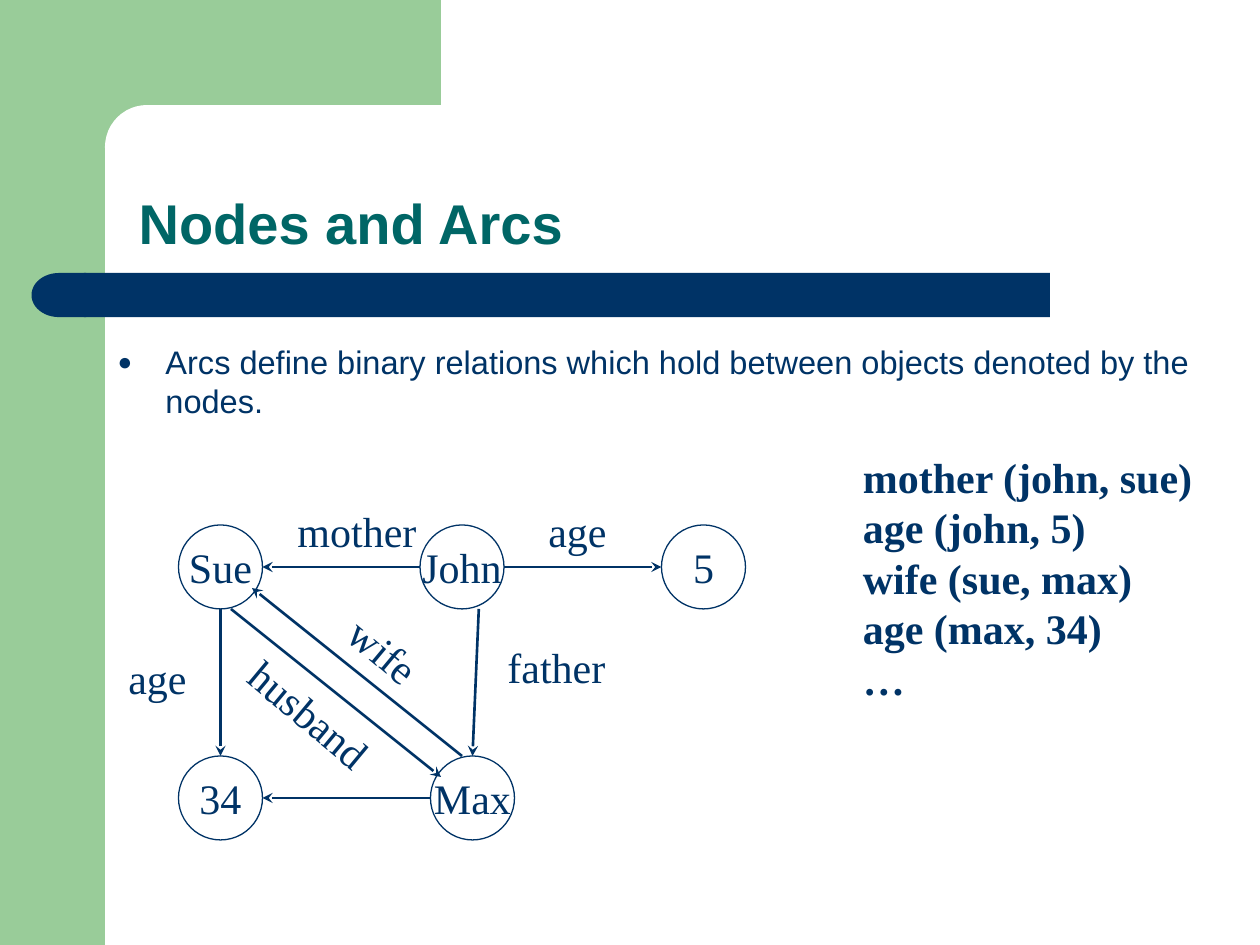
from lxml import etree
from pptx import Presentation
from pptx import util as u
from pptx.dml.color import RGBColor
from pptx.enum import shapes, text
from pptx.oxml.ns import qn

NAVY = RGBColor(0x00, 0x33, 0x66)
TEAL = RGBColor(0x00, 0x66, 0x66)
GREEN = RGBColor(0x99, 0xCC, 0x99)
WHITE = RGBColor(0xFF, 0xFF, 0xFF)
SANS, SERIF = "Arial", "Times New Roman"
SHAPE, ALIGN, ANCHOR = shapes.MSO_SHAPE, text.PP_ALIGN, text.MSO_ANCHOR
NODE = 8  # node diameter in grid units


def grid(n):
    """Length of n grid units, twelve to the inch."""
    return u.Inches(n / 12)


class Deck:
    def __init__(self):
        self.prs = Presentation()
        self.prs.slide_width, self.prs.slide_height = grid(120), grid(90)
        self.slide = self.prs.slides.add_slide(self.prs.slide_layouts[1])

    def add_lines(self, sp, lines, size, color=NAVY, font=SERIF, bold=False,
                  align=ALIGN.CENTER, anchor=ANCHOR.MIDDLE, wrap=False):
        tf = sp.text_frame
        tf.auto_size = text.MSO_AUTO_SIZE.NONE
        tf.word_wrap, tf.vertical_anchor = wrap, anchor
        for i, line in enumerate(lines):
            p = tf.add_paragraph() if i else tf.paragraphs[0]
            p.alignment = align
            r = p.add_run()
            r.text = line
            r.font.size, r.font.name, r.font.bold = u.Pt(size), font, bold
            r.font.color.rgb = color
        return tf.paragraphs

    def placeholder(self, idx, box, line, size, **style):
        sp = self.slide.placeholders[idx]
        sp.left, sp.top, sp.width, sp.height = map(grid, box)
        self.slide.shapes._spTree.append(sp._element)  # in front of the backdrop
        return self.add_lines(sp, [line], size, font=SANS, align=ALIGN.LEFT,
                              wrap=True, **style)[0]

    def shape(self, kind, box, fill=None, line=None, adj=None):
        sp = self.slide.shapes.add_shape(kind, *map(grid, box))
        sp.shadow.inherit = False
        if fill is None:
            sp.fill.background()
        else:
            sp.fill.solid()
            sp.fill.fore_color.rgb = fill
        if line is None:
            sp.line.fill.background()
        else:
            sp.line.color.rgb, sp.line.width = line, u.Pt(0.75)
        if adj is not None:
            sp.adjustments[0] = adj
        return sp

    def node(self, name, x, y):
        sp = self.shape(SHAPE.OVAL, (x, y, NODE, NODE), line=NAVY)
        self.add_lines(sp, [name], 24)

    def label(self, lines, x, y, w=12, h=3, angle=0, **style):
        sp = self.slide.shapes.add_textbox(*map(grid, (x, y, w, h)))
        sp.rotation = angle
        self.add_lines(sp, lines, 24, **style)

    def arrow(self, tip, tail):
        c = self.slide.shapes.add_connector(
            shapes.MSO_CONNECTOR.STRAIGHT, *map(grid, tip + tail))
        c.line.color.rgb, c.line.width = NAVY, u.Pt(1.5)
        sp_pr = c._element.spPr
        etree.SubElement(sp_pr.find(qn("a:ln")), qn("a:headEnd"), type="stealth")
        etree.SubElement(sp_pr, qn("a:effectLst"))


def add_bullet(p):
    pPr = p._p.get_or_add_pPr()
    pPr.set("marL", str(u.Inches(0.38)))
    pPr.set("indent", str(-u.Inches(0.38)))
    color = etree.SubElement(pPr, qn("a:buClr"))
    etree.SubElement(color, qn("a:srgbClr"), val=str(NAVY))
    etree.SubElement(pPr, qn("a:buSzPct"), val="75000")
    etree.SubElement(pPr, qn("a:buFont"), typeface=SANS)
    etree.SubElement(pPr, qn("a:buChar"), char="●")


def main():
    deck = Deck()

    # Backdrop: green corner, white rounded panel, navy bar
    deck.shape(SHAPE.RECTANGLE, (0, 0, 10, 90), GREEN)
    deck.shape(SHAPE.RECTANGLE, (9, 0, 33, 14), GREEN)
    deck.shape(SHAPE.ROUNDED_RECTANGLE, (10, 10, 67, 8), WHITE, adj=0.5)
    deck.shape(SHAPE.ROUNDED_RECTANGLE, (8, 26, 92, 4.2), NAVY, adj=0)
    cap = deck.shape(SHAPE.FLOWCHART_DELAY, (3, 26, 5.2, 4.2), NAVY)
    cap._element.spPr.find(qn("a:xfrm")).set("flipH", "1")

    # Title and definition
    p = deck.placeholder(0, (12, 15, 105, 10), "Nodes and Arcs", 32,
                         color=TEAL, bold=True, anchor=ANCHOR.BOTTOM)
    p.line_spacing = 0.9
    p = deck.placeholder(
        1, (10, 32, 108, 9),
        "Arcs define binary relations which hold between objects "
        "denoted by the nodes.", 18.6, anchor=ANCHOR.TOP)
    p.space_before = u.Pt(6)
    add_bullet(p)

    # Nodes
    top, bottom = 50, 72
    left, middle, right = 17, 40, 63
    max_x = middle + 1
    for name, x, y in [("Sue", left, top), ("John", middle, top),
                       ("5", right, top), ("Max", max_x, bottom),
                       ("34", left, bottom)]:
        deck.node(name, x, y)

    # Arcs, each from its tip to its tail
    half = NODE / 2
    for tip, tail in [
        ((left + NODE, top + half), (middle, top + half)),         # mother
        ((right, top + half), (middle + NODE, top + half)),        # John's age
        ((left + half, bottom), (left + half, top + NODE)),        # Sue's age
        ((left + NODE, bottom + half), (max_x, bottom + half)),    # Max's age
        ((max_x + half, bottom), (45.6, top + NODE)),              # father
        ((42, 74), (22, top + NODE)),                              # husband
        ((24, 56), (44, bottom)),                                  # wife
    ]:
        deck.arrow(tip, tail)

    # Arc labels
    for name, x, y, angle in [
        ("mother", 28, 49, 0), ("age", 49, 49, 0), ("age", 9, 63, 0),
        ("father", 47, 62, 0), ("wife", 30.6, 60.5, 39.9),
        ("husband", 23.5, 66.5, 39.9),
    ]:
        deck.label([name], x, y, angle=angle)

    # The same relations as facts
    deck.label(["mother (john, sue)", "age (john, 5)", "wife (sue, max)",
                "age (max, 34)", "…"], 81, 46, 29, 18,
               bold=True, align=ALIGN.LEFT)

    deck.prs.save("out.pptx")


if __name__ == "__main__":
    main()
